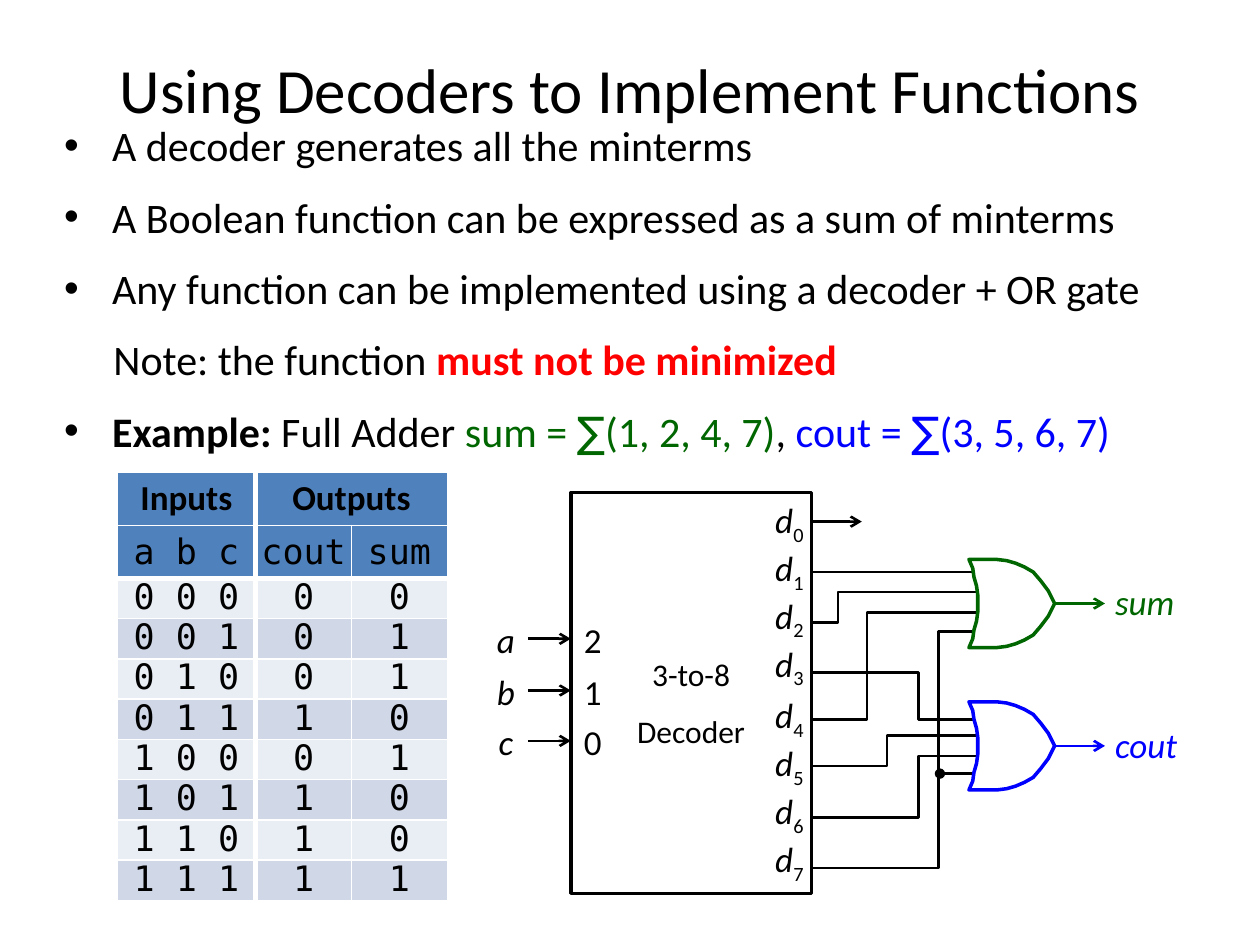
from dataclasses import dataclass

from lxml.etree import SubElement
from pptx import Presentation
from pptx.dml.color import RGBColor
from pptx.enum.shapes import MSO_CONNECTOR, MSO_SHAPE
from pptx.enum.text import MSO_ANCHOR, MSO_AUTO_SIZE, PP_ALIGN
from pptx.oxml.ns import qn
from pptx.util import Emu, Pt


@dataclass(frozen=True)
class Theme:
    font: str = "Calibri"
    symbol: str = "DejaVu Sans"
    mono: str = "DejaVu Sans Mono"
    black: str = "000000"
    white: str = "FFFFFF"
    red: str = "FF0000"
    green: str = "006600"
    blue: str = "0000FF"
    header: str = "4F81BD"
    bands: tuple = ("E9EDF4", "D0D8E8")
    title: int = 36
    body: int = 24
    label: int = 20
    block: int = 18
    thin: float = 1.5
    thick: float = 2


THEME = Theme()
PX = 9144  # 100 px to the inch

TITLE = "Using Decoders to Implement Functions"
# Each paragraph: has a bullet, then spans of (text, format)
GREEN, BLUE = {"color": THEME.green}, {"color": THEME.blue}
BODY = [
    (True, [("A decoder generates all the minterms", {})]),
    (True, [("A Boolean function can be expressed as a sum of minterms", {})]),
    (True, [("Any function can be implemented using a decoder + OR gate", {})]),
    (False, [("Note: the function ", {}),
             ("must not be minimized", {"color": THEME.red, "bold": True})]),
    (True, [("Example:", {"bold": True}), (" Full Adder ", {}),
            ("sum = ", GREEN), ("∑", {**GREEN, "name": THEME.symbol}), ("(1, 2, 4, 7)", GREEN),
            (", ", {}),
            ("cout = ", BLUE), ("∑", {**BLUE, "name": THEME.symbol}), ("(3, 5, 6, 7)", BLUE)]),
]

HEADINGS = [("Inputs", "Outputs", ""), ("a b c", "cout", "sum")]
MINTERMS = {"cout": (3, 5, 6, 7), "sum": (1, 2, 4, 7)}
COLUMN_WIDTHS = (110, 76, 76)
HEADING_HEIGHT, ROW_HEIGHT = 42, 32

DECODER = (453, 391, 191, 318)
DECODER_TEXT = "3-to-8\nDecoder"
DECODER_RIGHT = DECODER[0] + DECODER[2]
INPUTS = [("a", "2", 507), ("b", "1", 548), ("c", "0", 588)]
# Each wire: y at the decoder, x of the bend, then the end at a gate
WIRES = [(649, 729, 781, 600), (608, 704, 780, 584), (534, 729, 777, 571),
         (689, 745, 777, 501), (571, 688, 781, 486), (494, 665, 780, 470)]
GATES = [("cout", 557, THEME.blue), ("sum", 444, THEME.green)]
GATE_LEFT, GATE_WIDTH, GATE_HEIGHT, GATE_BULGE = 769, 68, 70, 7
GATE_SHOULDER = [(22, 0), (30, 1), (37, 3), (44, 6), (51, 10), (57, 17), (63, 25)]
LABEL_WIDTH, LABEL_HEIGHT = 35, 39


def px(*lengths):
    return [Emu(length * PX) for length in lengths]


def format_font(font, size, color=THEME.black, name=THEME.font, bold=False, italic=False):
    font.size, font.name, font.bold, font.italic = Pt(size), name, bold, italic
    font.color.rgb = RGBColor.from_string(color)


def place(shape, *box):
    shape.left, shape.top, shape.width, shape.height = px(*box)


def clear_margins(holder):
    holder.margin_left = holder.margin_right = holder.margin_top = holder.margin_bottom = 0


def style_outline(shape, color, width, fill=None):
    shape.shadow.inherit = False
    if fill:
        shape.fill.solid()
        shape.fill.fore_color.rgb = RGBColor.from_string(fill)
    else:
        shape.fill.background()
    shape.line.color.rgb = RGBColor.from_string(color)
    shape.line.width = Pt(width)


def add_outline(page, points, color, width, fill=None, close=False):
    builder = page.shapes.build_freeform(*points[0], scale=PX)
    builder.add_line_segments(points[1:], close=close)
    style_outline(builder.convert_to_shape(), color, width, fill)


def add_line(page, start, end, color=THEME.black, **ends):
    """Straight line; ends maps headEnd or tailEnd to an arrowhead type."""
    line = page.shapes.add_connector(MSO_CONNECTOR.STRAIGHT, *px(*start, *end))
    line.line.color.rgb = RGBColor.from_string(color)
    line.line.width = Pt(THEME.thin)
    properties = line._element.spPr
    for tag, kind in ends.items():
        SubElement(properties.find(qn("a:ln")), qn(f"a:{tag}"), type=kind)
    SubElement(properties, qn("a:effectLst"))


def add_label(page, text, left, middle, color=THEME.black, italic=True, subscript="",
              width=LABEL_WIDTH, align=PP_ALIGN.CENTER):
    box = page.shapes.add_textbox(*px(left, middle - LABEL_HEIGHT // 2, width, LABEL_HEIGHT))
    frame = box.text_frame
    frame.word_wrap = False
    frame.vertical_anchor = MSO_ANCHOR.MIDDLE
    clear_margins(frame)
    para = frame.paragraphs[0]
    para.text, para.alignment = text, align
    format_font(para.runs[0].font, THEME.label, color, italic=italic)
    if subscript:
        span = para.add_run()
        span.text = subscript
        format_font(span.font, THEME.label, color)
        span._r.get_or_add_rPr().set("baseline", "-25000")


def fill_body(body):
    place(body, 41, 90, 936, 283)
    frame = body.text_frame
    frame.auto_size = MSO_AUTO_SIZE.NONE
    for index, (bulleted, spans) in enumerate(BODY):
        para = frame.add_paragraph() if index else frame.paragraphs[0]
        para.space_before = Pt(12 if index else 0)
        properties = para._p.get_or_add_pPr()
        indent, hanging = (38, -38) if bulleted else (39, 0)
        properties.set("marL", str(indent * PX))
        properties.set("indent", str(hanging * PX))
        if bulleted:
            SubElement(properties, qn("a:buChar"), char="•")
        else:
            SubElement(properties, qn("a:buNone"))
        for text, style in spans:
            span = para.add_run()
            span.text = text
            format_font(span.font, THEME.body, **style)


def add_borders(cell, row, column):
    heavy = {"lnL": column == 1, "lnR": column == 0, "lnT": row == 2, "lnB": row == 1}
    for tag, is_heavy in heavy.items():
        border = SubElement(cell._tc.get_or_add_tcPr(), qn(f"a:{tag}"),
                            w=str(Pt(3 if is_heavy else 1)))
        SubElement(SubElement(border, qn("a:solidFill")), qn("a:srgbClr"), val=THEME.white)


def add_truth_table(page):
    rows = HEADINGS + [(" ".join(f"{n:03b}"), *(str(int(n in MINTERMS[name])) for name in MINTERMS))
                       for n in range(8)]
    heights = [HEADING_HEIGHT] * 2 + [ROW_HEIGHT] * 8
    table = page.shapes.add_table(len(rows), len(COLUMN_WIDTHS), *px(
        93, 375, sum(COLUMN_WIDTHS), sum(heights))).table
    table.first_row = table.horz_banding = False
    for column, width in zip(table.columns, px(*COLUMN_WIDTHS)):
        column.width = width
    for row, height in zip(table.rows, px(*heights)):
        row.height = height
    table.cell(0, 1).merge(table.cell(0, 2))
    for r, texts in enumerate(rows):
        for c, text in enumerate(texts):
            cell = table.cell(r, c)
            add_borders(cell, r, c)
            cell.fill.solid()
            cell.fill.fore_color.rgb = RGBColor.from_string(
                THEME.header if r < 2 else THEME.bands[r % 2])
            clear_margins(cell)
            cell.vertical_anchor = MSO_ANCHOR.MIDDLE
            if not text:
                continue
            para = cell.text_frame.paragraphs[0]
            para.text, para.alignment = text, PP_ALIGN.CENTER
            if r >= 2:
                para.line_spacing = 0.9
            format_font(para.runs[0].font, THEME.label,
                        name=THEME.mono if r else THEME.font, bold=r == 0)


def add_decoder(page):
    for start_y, bend, end_x, end_y in WIRES:
        add_outline(page, [(DECODER_RIGHT, start_y), (bend, start_y), (bend, end_y), (end_x, end_y)],
                    THEME.black, THEME.thin)
    block = page.shapes.add_shape(MSO_SHAPE.RECTANGLE, *px(*DECODER))
    style_outline(block, THEME.black, THEME.thick, THEME.white)
    frame = block.text_frame
    clear_margins(frame)
    frame.vertical_anchor = MSO_ANCHOR.MIDDLE
    frame.text = DECODER_TEXT
    for para in frame.paragraphs:
        para.alignment, para.line_spacing = PP_ALIGN.CENTER, 1.5
        format_font(para.runs[0].font, THEME.block)
    for name, weight, y in INPUTS:
        add_line(page, (DECODER[0] - 34, y), (DECODER[0], y), tailEnd="arrow")
        add_label(page, name, 384, y)
        add_label(page, weight, DECODER[0], y, italic=False)
    for n in range(8):
        add_label(page, "d", DECODER_RIGHT - LABEL_WIDTH, 414 + 38 * n + 3 * (n // 4),
                  subscript=str(n))
    add_line(page, (DECODER_RIGHT, 414), (684, 414), tailEnd="arrow")
    add_line(page, (DECODER_RIGHT, 454), (792, 454))
    add_line(page, (746, 614), (785, 614), headEnd="oval")


def add_gate(page, name, top, color):
    half = GATE_HEIGHT // 2
    back = [(round(GATE_BULGE * (1 - (y / half - 1) ** 2), 2), y)
            for y in range(0, GATE_HEIGHT + 1, 7)]
    lower = [(x, GATE_HEIGHT - y) for x, y in GATE_SHOULDER]
    outline = back + lower + [(GATE_WIDTH, half)] + GATE_SHOULDER[::-1]
    add_outline(page, [(GATE_LEFT + x, top + y) for x, y in outline],
                color, THEME.thick, THEME.white, close=True)
    nose, middle = GATE_LEFT + GATE_WIDTH, top + half
    add_line(page, (nose, middle), (nose + 40, middle), color, tailEnd="arrow")
    add_label(page, name, nose + 48, middle - 2, color, width=58, align=PP_ALIGN.LEFT)


def main():
    deck = Presentation()
    deck.slide_width, deck.slide_height = px(1000, 750)
    page = deck.slides.add_slide(deck.slide_layouts[1])
    title = page.shapes.title
    place(title, 50, 8, 900, 125)
    title.text_frame.text = TITLE
    format_font(title.text_frame.paragraphs[0].runs[0].font, THEME.title)
    fill_body(page.placeholders[1])
    add_truth_table(page)
    add_decoder(page)
    for gate in GATES:
        add_gate(page, *gate)
    deck.save("out.pptx")


if __name__ == "__main__":
    main()
